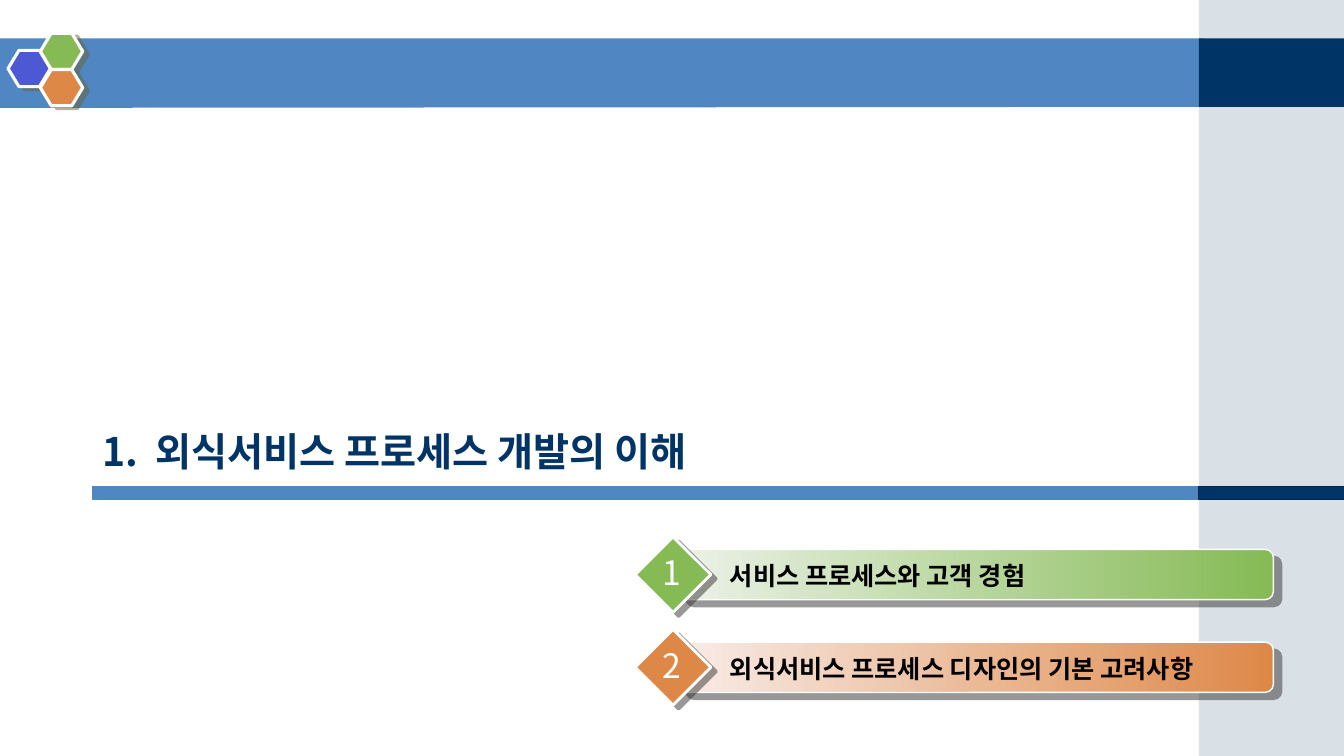
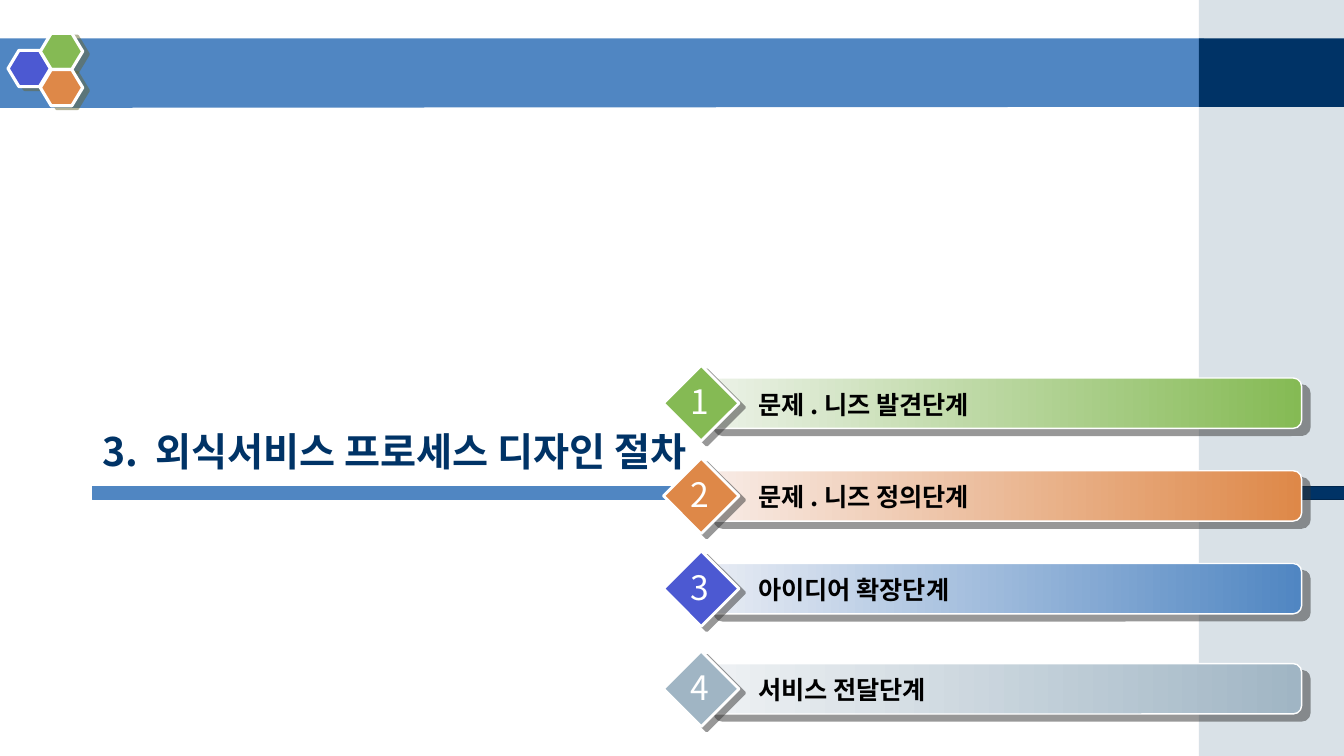
from lxml import etree
from pptx import Presentation
from pptx.dml.color import RGBColor
from pptx.enum.shapes import MSO_SHAPE
from pptx.enum.text import MSO_ANCHOR, MSO_AUTO_SIZE, PP_ALIGN
from pptx.oxml.ns import qn
from pptx.util import Inches, Pt

RECT, ROUND = MSO_SHAPE.RECTANGLE, MSO_SHAPE.ROUNDED_RECTANGLE
HEXAGON, DIAMOND = MSO_SHAPE.HEXAGON, MSO_SHAPE.DIAMOND
LEFT, CENTER = PP_ALIGN.LEFT, PP_ALIGN.CENTER
BOTTOM, TOP = MSO_ANCHOR.BOTTOM, MSO_ANCHOR.TOP

# Content: bar left, first bar top, then (row, text) with row in pitches
SECTIONS = [
    {"number": "1.", "title": "외식서비스 프로세스 개발의 이해", "at": (6.72, 5.45),
     "steps": [(0, "서비스 프로세스와 고객 경험"),
               (1, "외식서비스 프로세스 디자인의 기본 고려사항")]},
    {"number": "3.", "title": "외식서비스 프로세스 디자인 절차", "at": (7, 3.75),
     "steps": [(0, "문제 . 니즈 발견단계"), (1, "문제 . 니즈 정의단계"),
               (2, "아이디어 확장단계"), (3.08, "서비스 전달단계")]},
]


class Theme:
    font = "Noto Sans CJK KR"
    title_size, step_size, number_size = 28, 18, 24
    navy, navy_edge, blue, violet = "003366", "00264D", "5086C2", "4C59D2"
    green, orange, gray = "85BA54", "DE8848", "A0B5C4"
    white, black = "FFFFFF", "000000"
    # Diamond colour, gradient start, gradient end
    steps = [(green, "ECF2E8", green), (orange, "F8ECE7", orange),
             (violet, "E8ECF4", blue), (gray, "EFF2F4", gray)]
    # Shadow colour, distance in points, direction in degrees
    hex_shadow = ("666633", 4.5, 27)
    bar_shadow = ("333333", 7.8, 40)
    diamond_shadow = ("333333", 5, 37)


WIDTH, HEIGHT = 13.33, 7.5
SIDE_X = 11.89                 # left edge of the side panel
BAND_Y, BAND_H = 0.38, 0.69
RULE_X, RULE_Y, RULE_H = 0.92, 4.83, 0.13
BAR_W, BAR_H, PITCH, DIAMOND_SIZE = 5.91, 0.5, 0.92, 0.75
HEXAGONS = [(0.08, 0.5, Theme.violet), (0.4, 0.33, Theme.green),
            (0.4, 0.69, Theme.orange)]


def rgb(code):
    return RGBColor.from_string(code)


def add_child(parent, tag, **attrs):
    return etree.SubElement(parent, qn(tag), {k: str(v) for k, v in attrs.items()})


def set_alpha(color_element, percent):
    add_child(color_element, "a:alpha", val=percent * 1000)


def style(sp, fill, line=None, shadow=None):
    """Fill is one colour or a pair; line is (colour, width)."""
    if isinstance(fill, tuple):
        sp.fill.gradient()
        sp.fill.gradient_angle = 0
        for stop, color in zip(sp.fill.gradient_stops, fill):
            stop.color.rgb = rgb(color)
    else:
        sp.fill.solid()
        sp.fill.fore_color.rgb = rgb(fill)
    if line:
        sp.line.color.rgb = rgb(line[0])
        sp.line.width = Pt(line[1])
    else:
        sp.line.fill.background()
    sp.shadow.inherit = False
    if shadow:
        color, distance, angle = shadow
        effects = sp._element.spPr.find(qn("a:effectLst"))
        outer = add_child(effects, "a:outerShdw", blurRad=0, dist=int(Pt(distance)),
                          dir=angle * 60000, algn="ctr", rotWithShape=0)
        set_alpha(add_child(outer, "a:srgbClr", val=color), 50)


def add_shape(slide, kind, box, fill, line=None, shadow=None, adjust=None):
    sp = slide.shapes.add_shape(kind, *map(Inches, box))
    if adjust is not None:
        sp.adjustments[0] = adjust
    style(sp, fill, line, shadow)
    return sp


def write(sp, text, size, color, bold=False, align=LEFT, anchor=TOP, wrap=True, tab=None):
    tf = sp.text_frame
    tf.word_wrap = wrap
    tf.auto_size = MSO_AUTO_SIZE.NONE
    tf.vertical_anchor = anchor
    p = tf.paragraphs[0]
    p.text = text
    p.alignment = align
    if tab:
        tabs = add_child(p._p.get_or_add_pPr(), "a:tabLst")
        add_child(tabs, "a:tab", pos=int(Inches(tab)), algn="l")
    p.font.name, p.font.size, p.font.bold = Theme.font, Pt(size), bold
    p.font.color.rgb = rgb(color)
    for font in p._p.iter(qn("a:defRPr")):
        add_child(font, "a:ea", typeface=Theme.font)


def add_text(slide, box, *args, **kwargs):
    write(slide.shapes.add_textbox(*map(Inches, box)), *args, **kwargs)


def add_frame(slide):
    # Top band, with a slightly slanted end
    right, bottom = SIDE_X + 0.05, BAND_Y + BAND_H
    outline = slide.shapes.build_freeform(Inches(-0.01), Inches(BAND_Y))
    corners = [(right, BAND_Y), (right - 0.01, bottom - 0.01), (-0.01, bottom)]
    outline.add_line_segments([(Inches(x), Inches(y)) for x, y in corners], close=True)
    style(outline.convert_to_shape(), Theme.blue)

    # Side panel
    side_w = WIDTH - SIDE_X
    panel = add_shape(slide, RECT, (SIDE_X, 0, side_w, HEIGHT), Theme.gray)
    set_alpha(panel._element.spPr.find(qn("a:solidFill"))[0], 40)
    add_shape(slide, RECT, (SIDE_X, BAND_Y, side_w, BAND_H - 0.01), Theme.navy)

    # Hexagon cluster
    for x, y, color in HEXAGONS:
        add_shape(slide, HEXAGON, (x, y, 0.42, 0.36), color, (Theme.white, 2.25),
                  Theme.hex_shadow, 0.3)

    # Rule under the title
    for x, w, color, edge in [(RULE_X, SIDE_X - RULE_X, Theme.blue, Theme.blue),
                              (SIDE_X, 1.48, Theme.navy, Theme.navy_edge)]:
        add_shape(slide, RECT, (x, RULE_Y, w, RULE_H), color, (edge, 0.75))


def add_title(slide, number, title):
    sp = slide.shapes.title
    sp.left, sp.top, sp.width, sp.height = map(Inches, (RULE_X, 3.12, 11.5, 1.64))
    write(sp, f"{number}\t{title}", Theme.title_size, Theme.navy, bold=True,
          anchor=BOTTOM, tab=0.52)


def add_step(slide, x, y, index, text):
    color, start, end = Theme.steps[index]
    add_shape(slide, ROUND, (x, y, BAR_W, BAR_H), (start, end), (Theme.white, 1),
              Theme.bar_shadow, 0.167)
    inset = (DIAMOND_SIZE - BAR_H) / 2
    add_shape(slide, DIAMOND, (x - 0.42, y - inset, DIAMOND_SIZE, DIAMOND_SIZE), color,
              (Theme.white, 2), Theme.diamond_shadow)
    add_text(slide, (x + 0.42, y + 0.06, BAR_W, 0.4), text, Theme.step_size,
             Theme.black, bold=True)
    add_text(slide, (x - 0.24, y - 0.02, 0.37, 0.51), str(index + 1), Theme.number_size,
             Theme.white, align=CENTER, wrap=False)


def main():
    prs = Presentation()
    prs.slide_width, prs.slide_height = Inches(WIDTH), Inches(HEIGHT)
    for section in SECTIONS:
        slide = prs.slides.add_slide(prs.slide_layouts[5])
        add_title(slide, section["number"], section["title"])
        add_frame(slide)
        x, top = section["at"]
        for index, (row, text) in enumerate(section["steps"]):
            add_step(slide, x, top + row * PITCH, index, text)
    prs.save("out.pptx")


if __name__ == "__main__":
    main()
